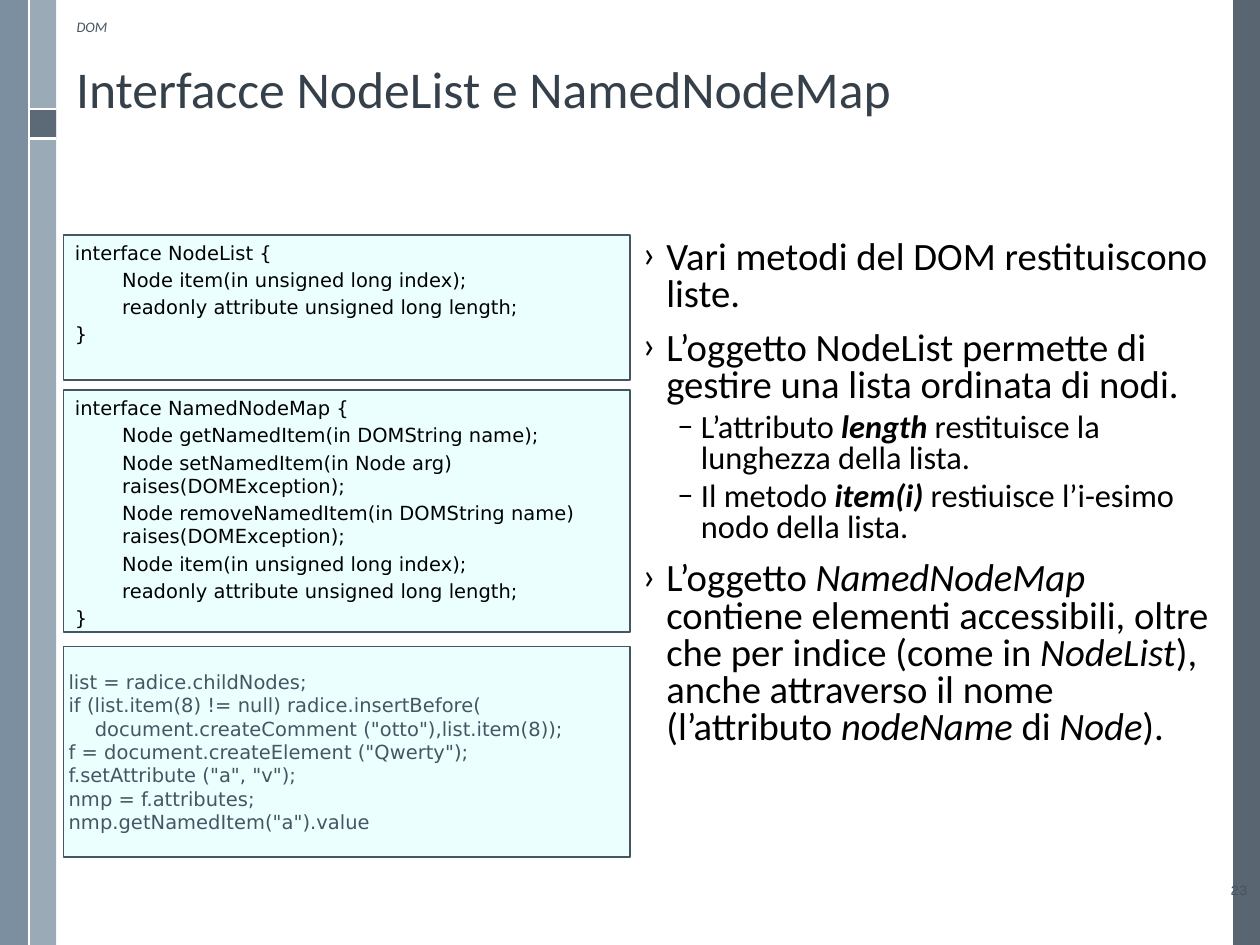
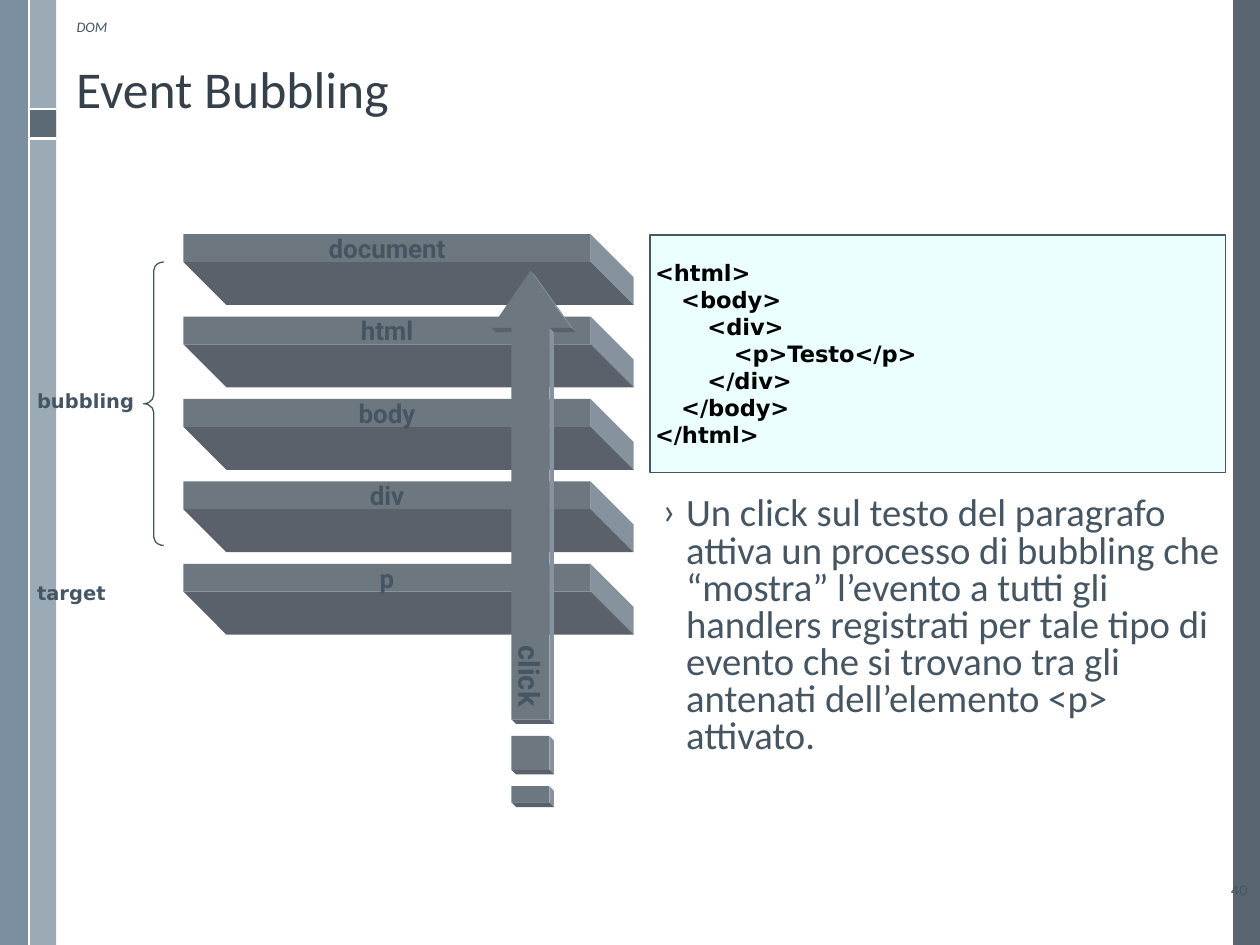
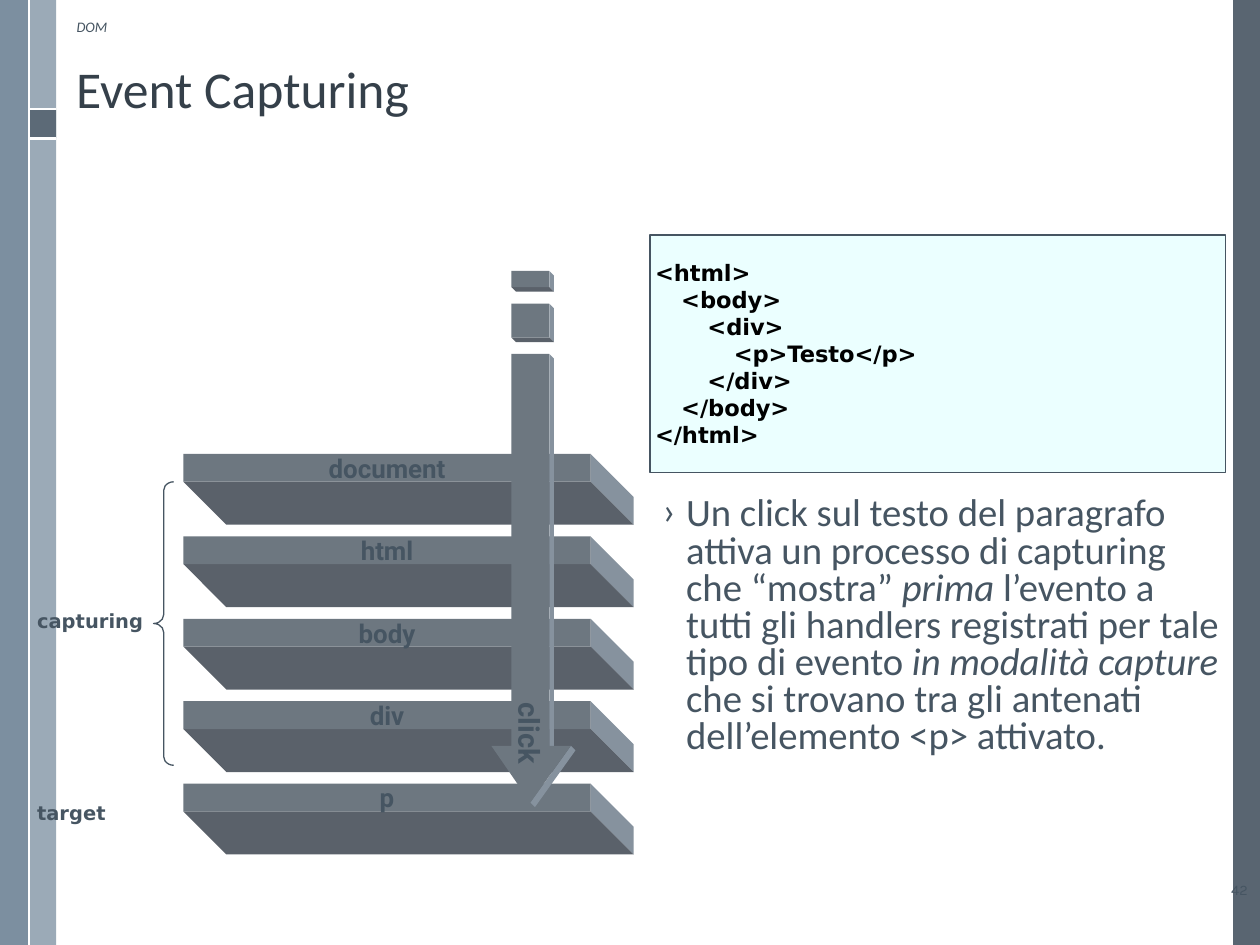
from pptx import Presentation
from pptx.dml.color import RGBColor
from pptx.enum.shapes import MSO_CONNECTOR, MSO_SHAPE
from pptx.enum.text import MSO_ANCHOR, PP_ALIGN
from pptx.oxml.ns import qn
from pptx.util import Pt
from lxml import etree

RECT, BRACE = MSO_SHAPE.RECTANGLE, MSO_SHAPE.LEFT_BRACE
STRAIGHT = MSO_CONNECTOR.STRAIGHT
TOP, MIDDLE = MSO_ANCHOR.TOP, MSO_ANCHOR.MIDDLE
LEFT, CENTER, RIGHT = PP_ALIGN.LEFT, PP_ALIGN.CENTER, PP_ALIGN.RIGHT

COLORS = {
    "ink": "465562", "title": "35404A", "black": "000000", "white": "FFFFFF",
    "code": "EBFFFF", "dark": "475562", "pale": "9BAAB7", "steel": "6A8093",
    "front": "6D7780", "under": "5A616A", "side": "86929E",
}
SANS, CODE, LABEL, NUMBER = "Calibri", "DejaVu Sans", "Roboto", "Karla"
WIDTH, HEIGHT = 720, 540

# ---- Content ----
NODE_LIST = [
    "interface NodeList {",
    "\tNode item(in unsigned long index);",
    "\treadonly attribute unsigned long length;",
    "}",
]
NAMED_NODE_MAP = [
    "interface NamedNodeMap {",
    "\tNode getNamedItem(in DOMString name);",
    "\tNode setNamedItem(in Node arg) raises(DOMException);",
    "\tNode removeNamedItem(in DOMString name) raises(DOMException);",
    "\tNode item(in unsigned long index);",
    "\treadonly attribute unsigned long length;",
    "}",
]
# Code lines are (indent level, text)
EXAMPLE = [
    (0, "list = radice.childNodes;"),
    (0, "if (list.item(8) != null) radice.insertBefore("),
    (1, "document.createComment (\"otto\"),list.item(8));"),
    (0, "f = document.createElement (\"Qwerty\");"),
    (0, "f.setAttribute (\"a\", \"v\");"),
    (0, "nmp = f.attributes;"),
    (0, "nmp.getNamedItem(\"a\").value"),
]
HTML = [(0, "<html>"), (1, "<body>"), (2, "<div>"), (3, "<p>Testo</p>"),
        (2, "</div>"), (1, "</body>"), (0, "</html>")]

# A bullet is (level, runs); a run is (text, style letters)
LIST_BULLETS = [
    (0, [("Vari metodi del DOM restituiscono liste.", "")]),
    (0, [("L’oggetto NodeList permette di gestire una lista ordinata di nodi.", "")]),
    (1, [("L’attributo ", ""), ("length", "bi"), (" restituisce la lunghezza della lista.", "")]),
    (1, [("Il metodo ", ""), ("item(i)", "bi"),
         (" restiuisce l’i-esimo nodo della lista.", "")]),
    (0, [("L’oggetto ", ""), ("NamedNodeMap", "i"),
         (" contiene elementi accessibili, oltre che per indice (come in ", ""),
         ("NodeList", "i"), ("), anche attraverso il nome (l’attributo ", ""),
         ("nodeName", "i"), (" di ", ""), ("Node", "i"), (").", "")]),
]
LAYERS = ["document", "html", "body", "div", "p"]
EVENT_SLIDES = [
    {"title": "Event Bubbling", "number": "40", "phase": "bubbling", "upward": True,
     "drop": 0, "brace_x": 82.1, "click_y": 386.3,
     "bullets": [(0, [(
         "Un click sul testo del paragrafo attiva un processo di bubbling che “mostra” "
         "l’evento a tutti gli handlers registrati per tale tipo di evento che si trovano "
         "tra gli antenati dell’elemento <p> attivato.", "")])]},
    {"title": "Event Capturing", "number": "42", "phase": "capturing", "upward": False,
     "drop": 125.6, "brace_x": 87.8, "click_y": 418.9,
     "bullets": [(0, [
         ("Un click sul testo del paragrafo attiva un processo di capturing che “mostra” ", ""),
         ("prima", "i"),
         (" l’evento a tutti gli handlers registrati per tale tipo di evento ", ""),
         ("in modalità capture", "i"),
         (" che si trovano tra gli antenati dell’elemento <p> attivato.", "")])]},
]

# Upward arrow with its two tail pieces, clockwise
ARROW = [
    [(303.1, 154.8), (326.2, 187.2), (313.9, 187.2), (313.9, 411.1),
     (292.3, 411.1), (292.3, 187.2), (280.8, 187.2)],
    [(292.3, 420.5), (313.9, 420.5), (313.9, 439.9), (292.3, 439.9)],
    [(292.3, 449.3), (313.9, 449.3), (313.9, 458.6), (292.3, 458.6)],
]
ARROW_MIRROR = 154.8 + 458.6
BAR_X, BAR_Y, BAR_W, BAR_H, BAR_PITCH = 104.8, 133.8, 232.7, 15.9, 47.1
BAR_DEPTH, ARROW_DEPTH = 24.6, 2.6


# ---- Helpers ----
def rgb(name):
    return RGBColor.from_string(COLORS[name])


def pts(*values):
    return [Pt(v) for v in values]


def style(sp, fill=None, line=None, width=1, alpha=None):
    sp.shadow.inherit = False
    if fill:
        sp.fill.solid()
        sp.fill.fore_color.rgb = rgb(fill)
        if alpha:
            clr = sp.fill._xPr.find(".//" + qn("a:srgbClr"))
            etree.SubElement(clr, qn("a:alpha")).set("val", str(alpha * 1000))
    else:
        sp.fill.background()
    if line:
        sp.line.color.rgb = rgb(line)
        sp.line.width = Pt(width)
    else:
        sp.line.fill.background()
    return sp


def add_box(s, box, fill, line=None, alpha=None):
    return style(s.shapes.add_shape(RECT, *pts(*box)), fill, line, alpha=alpha)


def set_frame(sp, anchor=TOP, insets=(7.2, 3.6), wrap=True):
    tf = sp.text_frame
    tf.word_wrap = wrap
    tf.vertical_anchor = anchor
    tf.margin_left = tf.margin_right = Pt(insets[0])
    tf.margin_top = tf.margin_bottom = Pt(insets[1])
    return tf


def format_run(r, size, font, color, marks=""):
    r.font.size, r.font.name, r.font.color.rgb = Pt(size), font, rgb(color)
    r.font.bold, r.font.italic = "b" in marks, "i" in marks


def write(tf, lines, size, font, color, marks="", align=LEFT):
    tf.text = "\n".join(lines)
    for p in tf.paragraphs:
        p.alignment = align
        for r in p.runs:
            format_run(r, size, font, color, marks)
    return tf.paragraphs


def add_text(s, box, text, size, font, color, marks="", align=LEFT, anchor=TOP):
    sp = s.shapes.add_textbox(*pts(*box))
    write(set_frame(sp, anchor), [text], size, font, color, marks, align)
    return sp


def set_indent(p, margin, first):
    pPr = p._p.get_or_add_pPr()
    pPr.set("marL", str(Pt(margin)))
    pPr.set("indent", str(Pt(first)))
    return pPr


def add_interface(s, box, lines):
    tf = set_frame(add_box(s, box, "code", "ink"), insets=(6.5, 3.6))
    for p in write(tf, lines, 11.1, CODE, "black"):
        p.space_before = Pt(2.2)
        set_indent(p, 27, -27)


def add_code(s, box, lines, size, color, marks=""):
    tf = set_frame(add_box(s, box, "code", "ink"), MIDDLE, (2.9, 2.9))
    paragraphs = write(tf, [text for _, text in lines], size, CODE, color, marks)
    for p, (level, _) in zip(paragraphs, lines):
        set_indent(p, 15 * level, 0)


def add_bullets(s, box, bullets, color):
    tf = set_frame(s.shapes.add_textbox(*pts(*box)))
    for i, (level, runs) in enumerate(bullets):
        p = tf.paragraphs[0] if i == 0 else tf.add_paragraph()
        size, before, margin, char = [(22.1, 9.7, 13.5, "›"), (18.5, 4.2, 33.3, "–")][level]
        p.level, p.line_spacing, p.space_before = level, 0.8, Pt(before)
        pPr = set_indent(p, margin, -13.5)
        etree.SubElement(pPr, qn("a:buFont")).set("typeface", SANS)
        etree.SubElement(pPr, qn("a:buChar")).set("char", char)
        for text, marks in runs:
            r = p.add_run()
            r.text = text
            format_run(r, size, SANS, color, marks)


def add_outlines(s, outlines, fill):
    """Draw closed outlines as one freeform."""
    builder = None
    for outline in outlines:
        start, *rest = [tuple(pts(*pt)) for pt in outline]
        if builder is None:
            builder = s.shapes.build_freeform(*start, scale=1.0)
        else:
            builder.move_to(*start)
        builder.add_line_segments(rest, close=True)
    return style(builder.convert_to_shape(), fill)


def add_depth(s, outlines, depth):
    """Draw the faces seen when clockwise outlines recede down and right."""
    faces = {"side": [], "under": []}
    for points in outlines:
        for (x1, y1), (x2, y2) in zip(points, points[1:] + points[:1]):
            dx, dy = x2 - x1, y2 - y1
            if dy > dx:
                faces["under" if abs(dx) > abs(dy) else "side"].append(
                    [(x1, y1), (x2, y2), (x2 + depth, y2 + depth), (x1 + depth, y1 + depth)])
    for fill, quads in faces.items():
        add_outlines(s, quads, fill)


# ---- Shared slide frame ----
def new_slide(prs, title, number):
    s = prs.slides.add_slide(prs.slide_layouts[6])
    for box, fill, alpha in [
        ((704.6, 0, 15.4, HEIGHT), "dark", 90),
        ((16.6, 0, 15.5, HEIGHT), "pale", None),
        ((0, 0, 16.6, HEIGHT), "steel", 88),
        ((17.3, 62.9, 14.8, 16), "dark", 75),
    ]:
        add_box(s, box, fill, alpha=alpha)
    for ends in [(16.6, 62.4, 32, 62.4), (16.6, 79.2, 32.2, 79.2), (16.6, 0, 16.6, HEIGHT)]:
        line = s.shapes.add_connector(STRAIGHT, *pts(*ends))
        line.line.color.rgb, line.line.width = rgb("white"), Pt(1.5)
        etree.SubElement(line._element.spPr, qn("a:effectLst"))
    sp = add_text(s, (36.4, 33.1, 663.8, 78.5), title, 29.5, SANS, "title")
    sp.text_frame.paragraphs[0].line_spacing = 0.9
    add_text(s, (641.5, 500.4, 78.5, 16.6), number, 8.3, NUMBER, "ink",
             align=RIGHT, anchor=MIDDLE)
    add_text(s, (36.7, 4.3, 234.7, 22.3), "DOM", 8.3, SANS, "ink", "i", anchor=MIDDLE)
    return s


# ---- Event diagram ----
def add_diagram(s, ev):
    top = BAR_Y + ev["drop"]
    right = BAR_X + BAR_W
    tops = [top + i * BAR_PITCH for i in range(len(LAYERS))]
    add_depth(s, [[(BAR_X, y), (right, y), (right, y + BAR_H), (BAR_X, y + BAR_H)]
                  for y in tops], BAR_DEPTH)
    for name, y in zip(LAYERS, tops):
        bar = add_box(s, (BAR_X, y, BAR_W, BAR_H), "front")
        write(set_frame(bar, MIDDLE, (3.6, 0.7), wrap=False), [name],
              14.8, LABEL, "ink", "b", CENTER)

    arrow = ARROW
    if not ev["upward"]:
        arrow = [[(x, ARROW_MIRROR - y) for x, y in reversed(part)] for part in ARROW]
    add_depth(s, arrow, ARROW_DEPTH)
    add_outlines(s, arrow, "front")
    click = add_text(s, (272.9, ev["click_y"] - 14, 60, 28), "click", 16.6, LABEL, "ink",
                     "b", CENTER, MIDDLE)
    click.rotation = 90

    brace = s.shapes.add_shape(BRACE, *pts(ev["brace_x"], top + BAR_H, 11.5, 162))
    style(brace, line="ink", width=0.75)
    brace.adjustments[0], brace.adjustments[1] = 0.436, 0.5
    for label, dy in [(ev["phase"], 85), ("target", 194.6)]:
        add_text(s, (14.1, top + dy, 96.5, 20.9), label, 11.1, CODE, "ink", "b")


# ---- Build ----
prs = Presentation()
prs.slide_width, prs.slide_height = pts(WIDTH, HEIGHT)

s = new_slide(prs, "Interfacce NodeList e NamedNodeMap", "23")
add_bullets(s, (360.2, 133.9, 345.6, 360), LIST_BULLETS, "black")
add_interface(s, (36.3, 222.9, 323.8, 138.4), NAMED_NODE_MAP)
add_interface(s, (36.3, 134.1, 323.8, 82.9), NODE_LIST)
add_code(s, (36.3, 369.4, 323.8, 120.2), EXAMPLE, 11.1, "ink")

for ev in EVENT_SLIDES:
    s = new_slide(prs, ev["title"], ev["number"])
    add_bullets(s, (371.5, 280.6, 334.8, 213.1), ev["bullets"], "ink")
    add_code(s, (371.4, 134.1, 328.9, 135.9), HTML, 12.9, "black", "b")
    add_diagram(s, ev)

prs.save("out.pptx")
